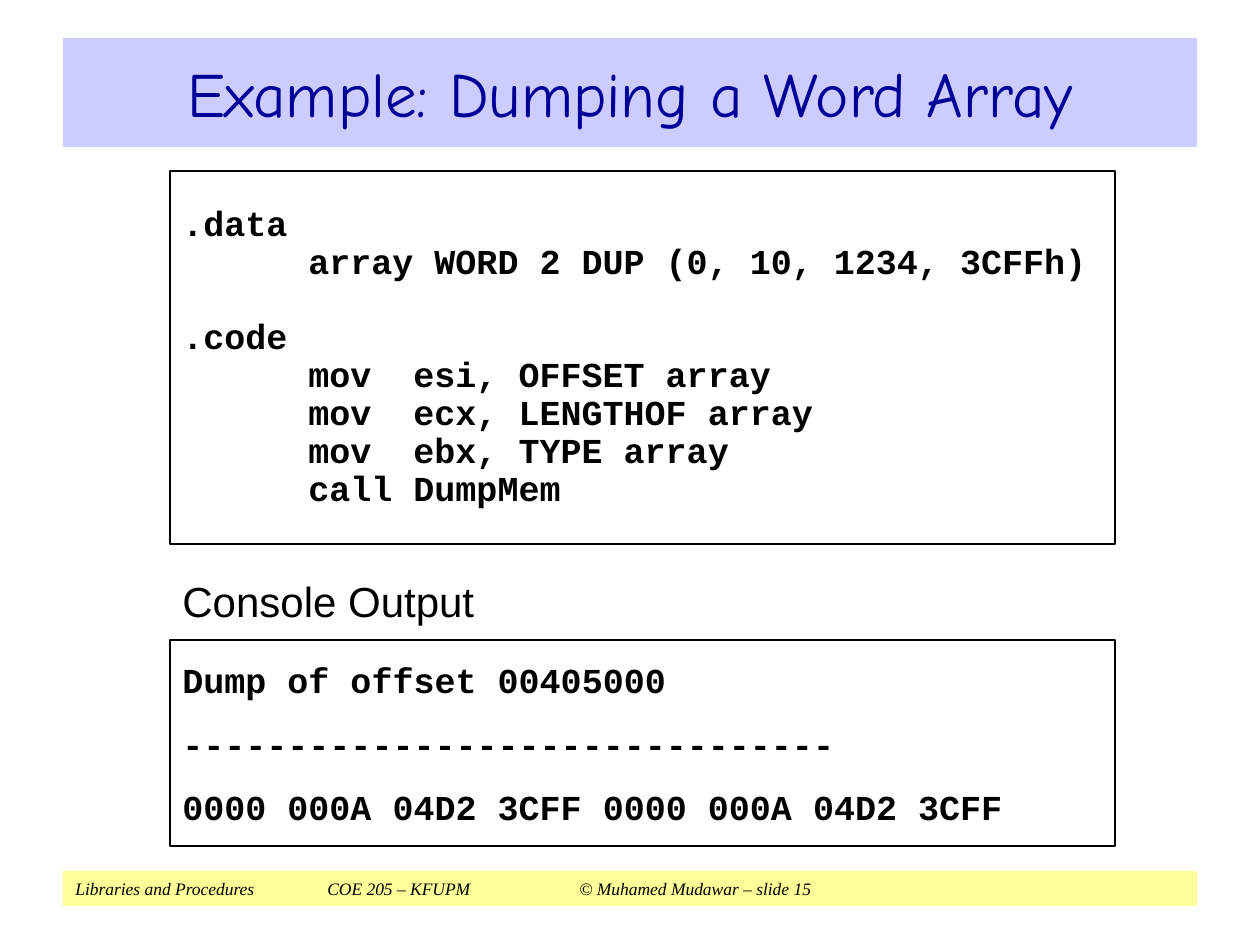
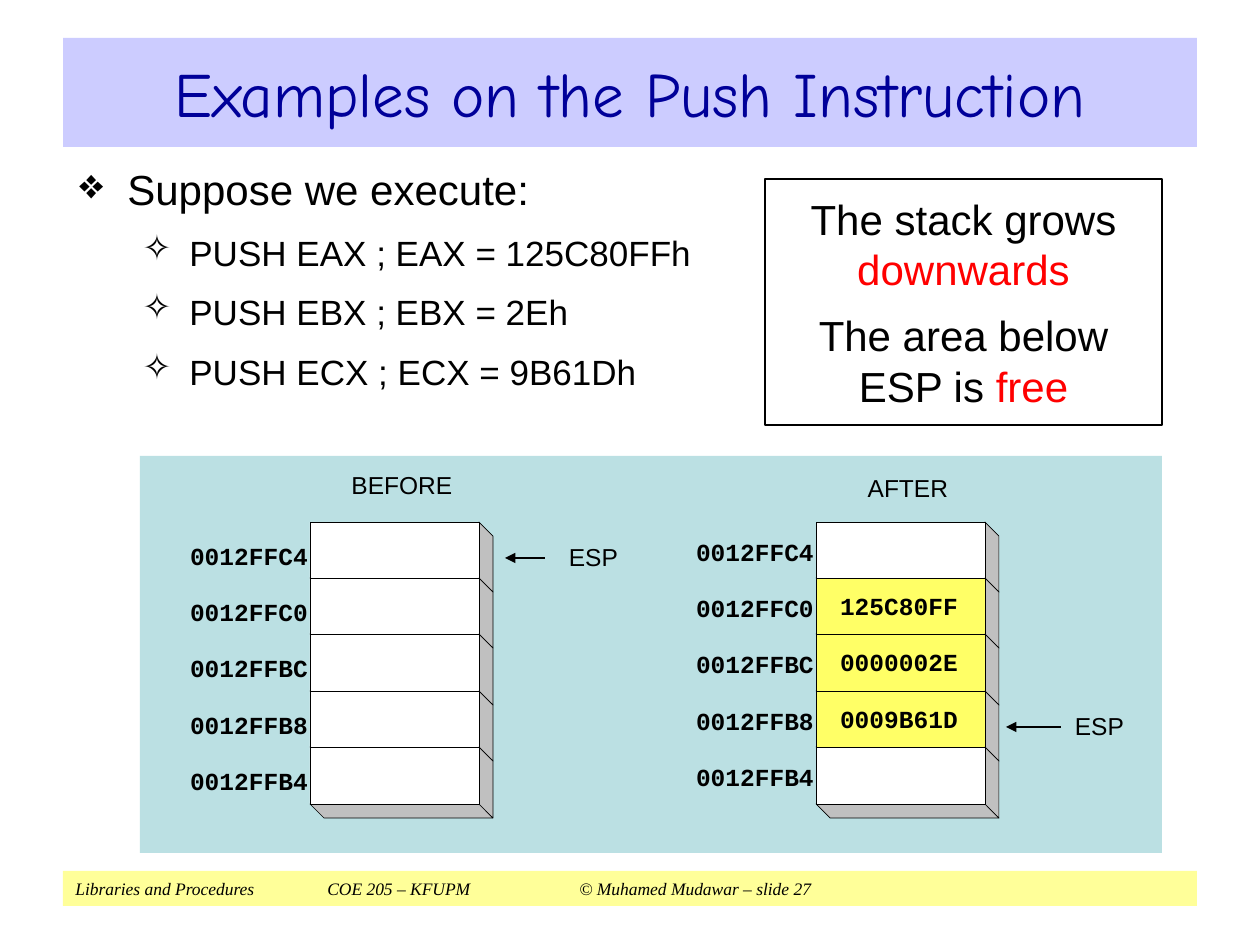
from dataclasses import dataclass

from lxml import etree
from pptx import Presentation
from pptx.dml.color import RGBColor
from pptx.enum.shapes import MSO_CONNECTOR, MSO_SHAPE
from pptx.enum.text import MSO_ANCHOR, MSO_AUTO_SIZE, PP_ALIGN
from pptx.oxml.ns import qn
from pptx.util import Emu, Pt

RECTANGLE = MSO_SHAPE.RECTANGLE
STRAIGHT = MSO_CONNECTOR.STRAIGHT
TOP, MIDDLE = MSO_ANCHOR.TOP, MSO_ANCHOR.MIDDLE
LEFT, CENTER = PP_ALIGN.LEFT, PP_ALIGN.CENTER
NO_AUTOFIT = MSO_AUTO_SIZE.NONE

PX_PER_INCH = 126
SCALE = 914400 / PX_PER_INCH
TITLE_ONLY = 5


def px(length):
    return Emu(round(length * SCALE))


@dataclass(frozen=True)
class TextStyle:
    font: str
    size: int
    color: str = "000000"
    bold: bool = False
    italic: bool = False


@dataclass(frozen=True)
class Theme:
    ink: str = "000000"
    paper: str = "FFFFFF"
    title_band: str = "CCCCFF"
    footer_band: str = "FFFF99"
    panel: str = "BBE0E3"
    pushed: str = "FFFF66"
    shade: str = "C0C0C0"
    emphasis: str = "FF0000"
    border: float = 0.75
    hairline: float = 0.37
    title: TextStyle = TextStyle("Comic Neue", 36, "000099")
    footer: TextStyle = TextStyle("Times New Roman", 10, italic=True)
    body: TextStyle = TextStyle("Arial", 24)
    item: TextStyle = TextStyle("Arial", 20)
    label: TextStyle = TextStyle("Arial", 14)
    code: TextStyle = TextStyle("Courier New", 20, bold=True)
    cell: TextStyle = TextStyle("Courier New", 14, bold=True)


class Deck:
    def __init__(self, theme):
        self.theme = theme
        self.presentation = Presentation()
        self.presentation.slide_width = px(1260)
        self.presentation.slide_height = px(945)
        self.slide = None

    def start_slide(self, title, number):
        layout = self.presentation.slide_layouts[TITLE_ONLY]
        self.slide = self.presentation.slides.add_slide(layout)
        band = self.slide.shapes.title
        band.left, band.top, band.width, band.height = map(px, (63, 38, 1134, 109))
        self.paint(band, self.theme.title_band)
        frame = self.frame(band, MIDDLE)
        self.paragraph(frame, title, self.theme.title, CENTER)
        footer = self.box((63, 871, 1134, 35), self.theme.footer_band)
        credit = self.paragraph(
            self.frame(footer, MIDDLE),
            f"Libraries and Procedures\tCOE 205 – KFUPM\t© Muhamed Mudawar – slide {number}",
            self.theme.footer)
        self.tabs(credit, 252, 504)

    def paint(self, shape, fill=None, line=None):
        if fill:
            shape.fill.solid()
            shape.fill.fore_color.rgb = RGBColor.from_string(fill)
        else:
            shape.fill.background()
        if line:
            shape.line.color.rgb = RGBColor.from_string(self.theme.ink)
            shape.line.width = Pt(line)
        else:
            shape.line.fill.background()
        shape.shadow.inherit = False

    def box(self, bounds, fill=None, line=None):
        shape = self.slide.shapes.add_shape(RECTANGLE, *map(px, bounds))
        self.paint(shape, fill, line)
        return shape

    def polygon(self, points):
        builder = self.slide.shapes.build_freeform(*points[0], scale=SCALE)
        builder.add_line_segments(points[1:], close=True)
        self.paint(builder.convert_to_shape(), self.theme.shade, self.theme.hairline)

    def arrow(self, start, tip):
        connector = self.slide.shapes.add_connector(STRAIGHT, *map(px, start + tip))
        connector.line.color.rgb = RGBColor.from_string(self.theme.ink)
        connector.line.width = Pt(self.theme.border)
        outline = connector.line._get_or_add_ln()
        etree.SubElement(outline, qn("a:tailEnd"), type="triangle")
        etree.SubElement(connector._element.spPr, qn("a:effectLst"))

    def frame(self, shape, anchor=TOP):
        frame = shape.text_frame
        frame.word_wrap = True
        frame.auto_size = NO_AUTOFIT
        frame.vertical_anchor = anchor
        return frame

    def text_area(self, bounds):
        return self.frame(self.slide.shapes.add_textbox(*map(px, bounds)))

    def label(self, bounds, text, style):
        frame = self.text_area(bounds)
        frame.word_wrap = False
        frame.margin_left = frame.margin_right = frame.margin_top = frame.margin_bottom = 0
        self.paragraph(frame, text, style, CENTER)

    def paragraph(self, frame, text, style, align=LEFT, before=0, spacing=None):
        first = frame.paragraphs[0]
        paragraph = frame.add_paragraph() if first.runs else first
        paragraph.alignment = align
        paragraph.space_before = Pt(before)
        if spacing:
            paragraph.line_spacing = spacing
        self.run(paragraph, text, style)
        return paragraph

    def run(self, paragraph, text, style, color=None):
        run = paragraph.add_run()
        run.text = text
        font = run.font
        font.name, font.size = style.font, Pt(style.size)
        font.bold, font.italic = style.bold, style.italic
        font.color.rgb = RGBColor.from_string(color or style.color)

    def tabs(self, paragraph, *stops):
        tab_list = etree.SubElement(paragraph._p.get_or_add_pPr(), qn("a:tabLst"))
        for stop in stops:
            etree.SubElement(tab_list, qn("a:tab"), pos=str(px(stop)), algn="l")

    def bullet(self, paragraph, mark, margin, hanging):
        properties = paragraph._p.get_or_add_pPr()
        properties.set("marL", str(px(margin)))
        properties.set("indent", str(px(-hanging)))
        color = etree.SubElement(properties, qn("a:buClr"))
        etree.SubElement(color, qn("a:srgbClr"), val=self.theme.ink)
        etree.SubElement(properties, qn("a:buChar"), char=mark)

    def stack(self, left, top, slots, label_drop):
        theme = self.theme
        width, depth, full_height = 169, 14, 282
        right = left + width
        edges = [top + full_height * i // len(slots) for i in range(len(slots) + 1)]
        for (address, value), upper, lower in zip(slots, edges, edges[1:]):
            self.polygon([(right, lower), (left, lower),
                          (left + depth, lower + depth), (right + depth, lower + depth)])
            self.polygon([(right + depth, lower + depth), (right, lower),
                          (right, upper), (right + depth, upper + depth)])
            self.box((left, upper, width, lower - upper),
                     theme.pushed if value else theme.paper, theme.hairline)
            self.label((left - 120, upper + label_drop, 118, 29), address, theme.cell)
            if value:
                self.label((left + 24, upper + 13, 118, 29), value, theme.cell)
        return edges

    def stack_pointer(self, left, slot_top, arrow_start, arrow_tip):
        self.arrow((left + arrow_start, slot_top + 36), (left + arrow_tip, slot_top + 36))
        self.label((left + 259, slot_top + 20, 49, 29), "ESP", self.theme.label)


def build_dump_slide(deck):
    theme = deck.theme
    deck.start_slide("Example: Dumping a Word Array", 15)

    program = deck.frame(deck.box((170, 171, 945, 373), line=theme.border), MIDDLE)
    sections = (
        (".data", "\tarray WORD 2 DUP (0, 10, 1234, 3CFFh)"),
        (".code", "\tmov  esi, OFFSET array", "\tmov  ecx, LENGTHOF array",
         "\tmov  ebx, TYPE array", "\tcall DumpMem"),
    )
    for section_index, section in enumerate(sections):
        for line_index, code in enumerate(section):
            gap = 21.6 if section_index and not line_index else 0
            line = deck.paragraph(program, code, theme.code, before=gap, spacing=0.9)
            deck.tabs(line, PX_PER_INCH)

    deck.paragraph(deck.text_area((170, 569, 365, 63)), "Console Output", theme.body)
    console = deck.frame(deck.box((170, 640, 945, 206), line=theme.border), MIDDLE)
    for index, output in enumerate(("Dump of offset 00405000", "-" * 31,
                                    "0000 000A 04D2 3CFF 0000 000A 04D2 3CFF")):
        deck.paragraph(console, output, theme.code, before=12.5 if index else 0)


def build_push_slide(deck):
    theme = deck.theme
    deck.start_slide("Examples on the Push Instruction", 27)

    pushes = deck.text_area((67, 157, 667, 278))
    heading = deck.paragraph(pushes, "Suppose we execute:", theme.body)
    deck.bullet(heading, "❖", 48, 48)
    for instruction in ("PUSH EAX ; EAX = 125C80FFh", "PUSH EBX ; EBX = 2Eh",
                        "PUSH ECX ; ECX = 9B61Dh"):
        item = deck.paragraph(pushes, instruction, theme.item, before=10)
        deck.bullet(item, "✧", 110, 47)

    deck.box((140, 456, 1022, 397), theme.panel)
    addresses = ("0012FFC4", "0012FFC0", "0012FFBC", "0012FFB8", "0012FFB4")
    untouched = ("",) * 5
    pushed = ("", "125C80FF", "0000002E", "0009B61D", "")
    states = (
        ("BEFORE", 310, 470, untouched, 19, 0, 235, 195),
        ("AFTER", 816, 473, pushed, 15, 3, 245, 190),
    )
    for state, left, state_top, values, drop, esp_slot, arrow_start, arrow_tip in states:
        deck.label((left + 42, state_top, 100, 29), state, theme.label)
        edges = deck.stack(left, 522, tuple(zip(addresses, values)), drop)
        deck.stack_pointer(left, edges[esp_slot], arrow_start, arrow_tip)

    remarks = deck.frame(deck.box((765, 179, 397, 246), line=theme.border), MIDDLE)
    for index, (lead, key) in enumerate((("The stack grows ", "downwards"),
                                         ("The area below ESP is ", "free"))):
        remark = deck.paragraph(remarks, lead, theme.body, CENTER, 9 if index else 0)
        deck.run(remark, key, theme.body, theme.emphasis)


def main():
    deck = Deck(Theme())
    build_dump_slide(deck)
    build_push_slide(deck)
    deck.presentation.save("out.pptx")


if __name__ == "__main__":
    main()
